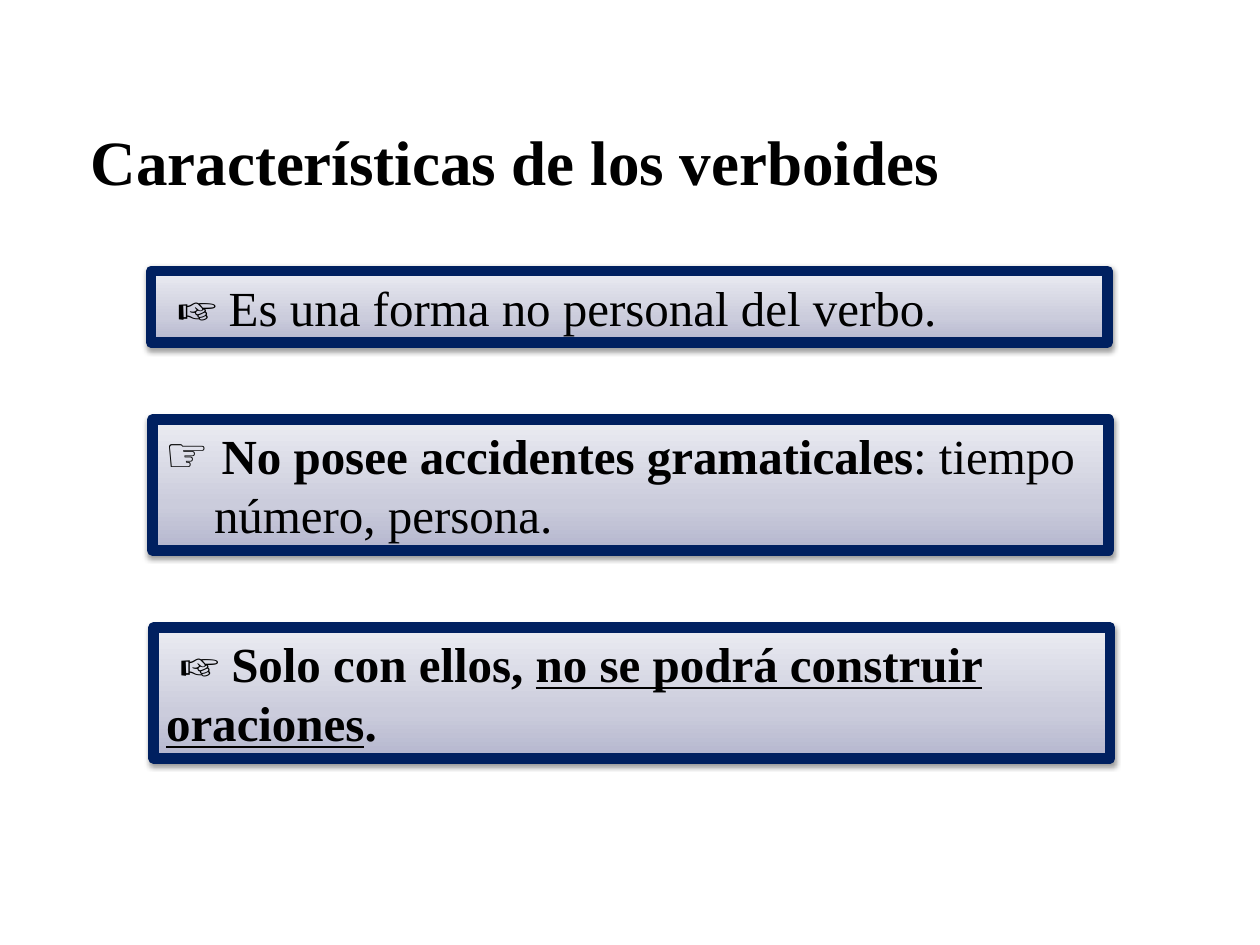
from lxml.etree import SubElement
from pptx import Presentation
from pptx.dml.color import RGBColor as RGB
from pptx.enum.shapes import MSO_SHAPE as Shape
from pptx.enum.text import MSO_ANCHOR as Anchor, MSO_AUTO_SIZE as AutoSize, PP_ALIGN as Align
from pptx.oxml.ns import qn
from pptx.util import Inches, Pt

COLORS = {"ink": "000000", "navy": "002060", "low": "B4B6CE", "mid": "CBCCDC", "high": "EBECF2"}
GRADIENT = [(0, "low"), (35, "mid"), (100, "high")]


def add_text(paragraph, text, font="Times New Roman", size=28, bold=False, underline=False):
    """Append a formatted run to a paragraph."""
    run = paragraph.add_run()
    run.text = text
    run.font.name = font
    run.font.size = Pt(size)
    run.font.bold = bold
    run.font.underline = underline
    run.font.color.rgb = RGB.from_string(COLORS["ink"])


def add_element(parent, tag, **attributes):
    """Append a DrawingML child element."""
    return SubElement(parent, qn(tag), {key: str(value) for key, value in attributes.items()})


class VerboidSlide:
    """Hold the slide and the style of its elements."""

    def __init__(self, deck):
        """Start a slide that has only a title."""
        self.slide = deck.slides.add_slide(deck.slide_layouts[5])

    def title(self, text, left, top, width, height):
        """Place and format the title."""
        heading = self.slide.shapes.title
        heading.left, heading.top = Inches(left), Inches(top)
        heading.width, heading.height = Inches(width), Inches(height)
        frame = heading.text_frame
        frame.auto_size = AutoSize.NONE
        frame.vertical_anchor = Anchor.TOP
        frame.paragraphs[0].alignment = Align.LEFT
        add_text(frame.paragraphs[0], text, size=36, bold=True)

    def panel(self, left, top, height, lines, width=7.59):
        """Draw a framed gradient panel with its lines of text."""
        panel = self.slide.shapes.add_shape(
            Shape.RECTANGLE, Inches(left), Inches(top), Inches(width), Inches(height))
        panel.line.color.rgb = RGB.from_string(COLORS["navy"])
        panel.line.width = Pt(6)
        self.shade(panel)
        frame = panel.text_frame
        frame.word_wrap = True
        frame.auto_size = AutoSize.SHAPE_TO_FIT_TEXT
        frame.vertical_anchor = Anchor.TOP
        for index, line in enumerate(lines):
            paragraph = frame.add_paragraph() if index else frame.paragraphs[0]
            self.line(paragraph, **line)

    def shade(self, panel):
        """Give a panel its gradient and its soft shadow."""
        panel.fill.gradient()
        panel.fill.gradient_angle = 90
        stops = panel._element.spPr.find(".//" + qn("a:gsLst"))
        stops.clear()
        for position, color in GRADIENT:
            stop = add_element(stops, "a:gs", pos=position * 1000)
            add_element(stop, "a:srgbClr", val=COLORS[color])
        panel.shadow.inherit = False
        effects = panel._element.spPr.find(qn("a:effectLst"))
        shadow = add_element(effects, "a:outerShdw", blurRad=Pt(3.1), dist=Pt(1.6),
                             dir=90 * 60000, rotWithShape=0)
        shade = add_element(shadow, "a:srgbClr", val=COLORS["ink"])
        add_element(shade, "a:alpha", val=38000)

    def line(self, paragraph, runs, margin=0, indent=0, bullet=None):
        """Fill one paragraph, indented and with an optional bullet."""
        paragraph.alignment = Align.LEFT
        properties = paragraph._p.get_or_add_pPr()
        properties.set("marL", str(Inches(margin)))
        properties.set("indent", str(Inches(indent)))
        if bullet:
            add_element(properties, "a:buFont", typeface="Arial")
            add_element(properties, "a:buChar", char=bullet)
        for text, style in runs:
            add_text(paragraph, text, **style)


def main():
    """Build and save the slide."""
    deck = Presentation()
    deck.slide_width, deck.slide_height = Inches(10), Inches(7.5)
    verboids = VerboidSlide(deck)
    verboids.title("Características de los verboides", 0.62, 0.92, 8.8, 0.62)
    strong = {"bold": True}
    verboids.panel(1.2, 2.15, 0.57, [
        {"runs": [("☞ Es una forma no personal del verbo.", {})], "indent": 0.11}])
    verboids.panel(1.21, 3.33, 1.04, [
        {"runs": [("No posee accidentes gramaticales", strong), (": tiempo", {})],
         "margin": 0.45, "indent": -0.45, "bullet": "☞"},
        {"runs": [("número, persona.", {})], "margin": 0.39}])
    verboids.panel(1.22, 4.98, 1.04, [
        {"runs": [("☞ ", {}), ("Solo con ellos, ", strong),
                  ("no se podrá construir oraciones", {"bold": True, "underline": True}),
                  (".", strong)], "indent": 0.11}])
    deck.save("out.pptx")


if __name__ == "__main__":
    main()
